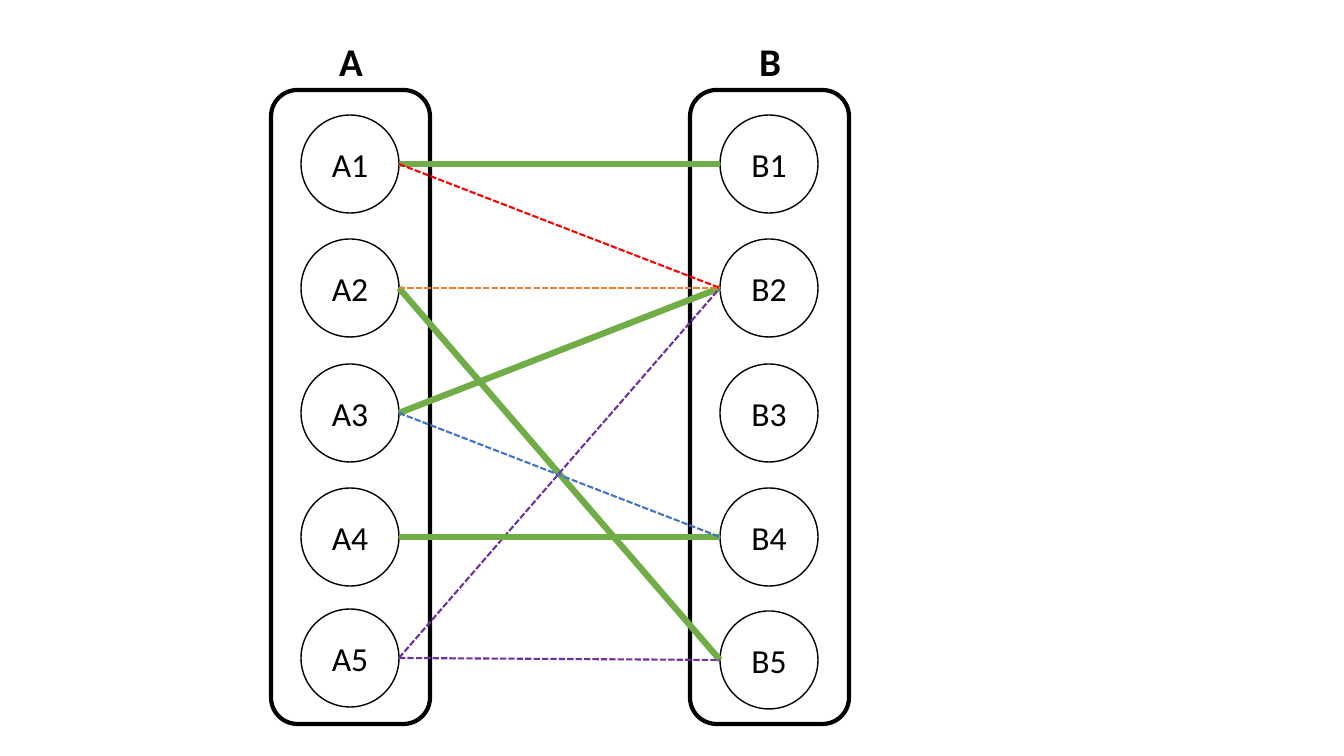
"""Draw a bipartite graph of two node sets, A and B, with matched and spare edges."""
from pptx import Presentation
from pptx.dml.color import RGBColor as Rgb
from pptx.enum.dml import MSO_LINE as Dash
from pptx.enum.shapes import MSO_CONNECTOR as Wire, MSO_SHAPE as Kind
from pptx.enum.text import MSO_ANCHOR as Anchor, MSO_AUTO_SIZE as Fit, PP_ALIGN as Align
from pptx.oxml.ns import qn
from pptx.util import Pt

UNIT = 914400 / 100.8
INK = {"black": "000000", "green": "70AD47", "red": "FF0000",
       "orange": "ED7D31", "blue": "4472C4", "purple": "7030A0"}


def px(*nums):
    return [round(n * UNIT) for n in nums]


class Board:
    def __init__(self, slide, font):
        self.slide = slide
        self.font = font

    def pen(self, line, ink, width):
        line.color.rgb = Rgb.from_string(INK[ink])
        line.width = Pt(width)

    def letter(self, frame, text, size, bold=False):
        para = frame.paragraphs[0]
        para.alignment = Align.CENTER
        run = para.add_run()
        run.text = text
        run.font.name = self.font
        run.font.size = Pt(size)
        run.font.bold = bold
        run.font.color.rgb = Rgb.from_string(INK["black"])

    def shape(self, kind, box, width):
        item = self.slide.shapes.add_shape(kind, *px(*box))
        item.shadow.inherit = False
        item.fill.background()
        self.pen(item.line, "black", width)
        return item

    def node(self, text, x, y, size):
        frame = self.shape(Kind.OVAL, (x, y, size, size), 1).text_frame
        frame.vertical_anchor = Anchor.MIDDLE
        self.letter(frame, text, 24)

    def label(self, text, box):
        frame = self.slide.shapes.add_textbox(*px(*box)).text_frame
        frame.word_wrap = True
        frame.auto_size = Fit.SHAPE_TO_FIT_TEXT
        self.letter(frame, text, 28, True)

    def edge(self, start, end, ink):
        item = self.slide.shapes.add_connector(Wire.STRAIGHT, *px(*start, *end))
        match = ink == "green"
        self.pen(item.line, ink, 4.5 if match else 1.5)
        if not match:
            item.line.dash_style = Dash.SQUARE_DOT
        props = item._element.spPr
        props.append(props.makeelement(qn("a:effectLst"), {}))


deck = Presentation()
deck.slide_width, deck.slide_height = px(1344, 756)
board = Board(deck.slides.add_slide(deck.slide_layouts[6]), "Calibri")

SIZE = 98
ROWS = [115 + 249 * i // 2 for i in range(4)]
SETS = {"A": (271, ROWS + [609]), "B": (690, ROWS + [611])}
ports = {}
for name, (left, tops) in SETS.items():
    board.shape(Kind.ROUNDED_RECTANGLE, (left, 90, 159, 634), 3)
    board.label(name, (left + 45, 32, 70, 57))
    for i, top in enumerate(tops, 1):
        x = left + 30
        board.node(f"{name}{i}", x, top, SIZE)
        ports[f"{name}{i}"] = (x + SIZE if name == "A" else x, top + SIZE // 2)

EDGES = [("A1", "B1", "green"), ("A2", "B5", "green"), ("A3", "B2", "green"),
         ("A5", "B2", "purple"), ("A4", "B4", "green"), ("A1", "B2", "red"),
         ("A2", "B2", "orange"), ("A3", "B4", "blue"), ("A5", "B5", "purple")]
for start, end, ink in EDGES:
    board.edge(ports[start], ports[end], ink)

deck.save("out.pptx")
